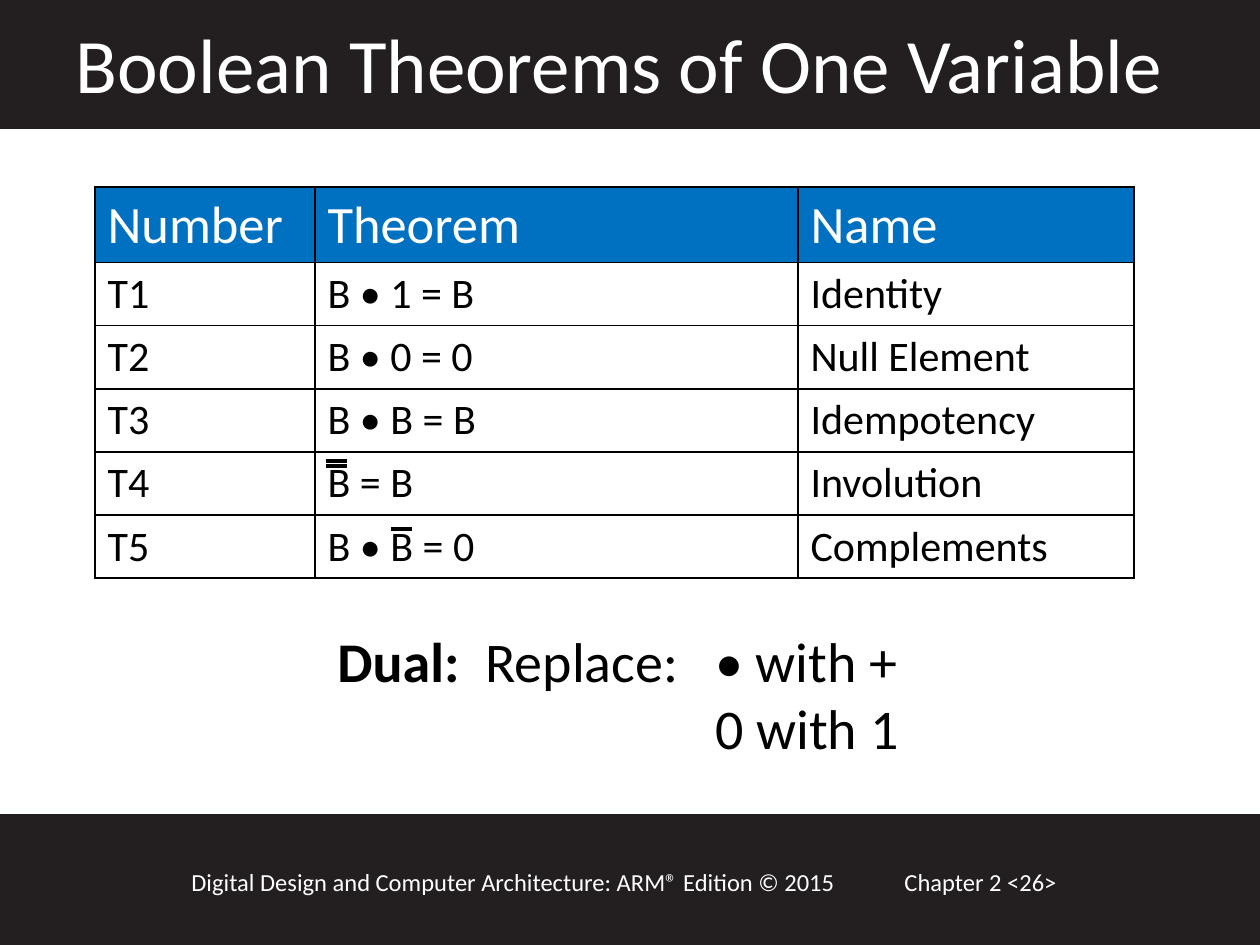
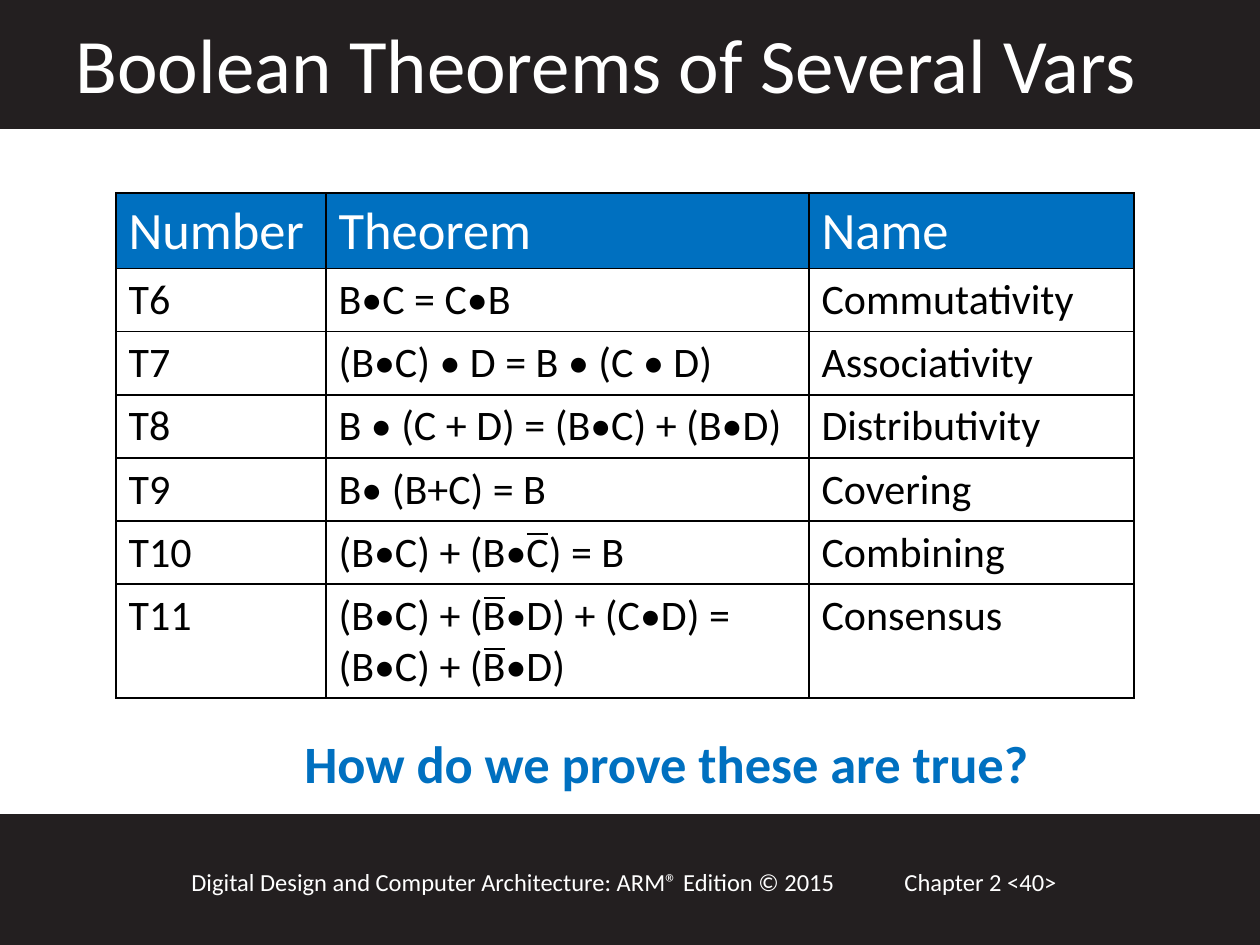
from lxml import etree
from pptx import Presentation
from pptx.dml.color import RGBColor
from pptx.enum import shapes, text
from pptx.oxml import ns, parse_xml
from pptx.util import Pt

SCALE = 914400 / 126  # EMU in one px
WIDE, HIGH = 1260, 945
FONT = "Calibri"
DARK, BLUE, WHITE, BLACK = "231F20", "0070C0", "FFFFFF", "000000"
HEAD, ROW = 75, 63  # table row heights
BAR = 21  # length of an overbar
BOOK = "Digital Design and Computer Architecture: ARM® Edition © 2015"


def px(n):
    return round(n * SCALE)


def box(*nums):
    return [px(n) for n in nums]


def rgb(code):
    return RGBColor.from_string(code)


def style(frame, size, color, bold=False):
    for para in frame.paragraphs:
        for run in para.runs:
            font = run.font
            font.name, font.size, font.bold = FONT, Pt(size), bold
            font.color.rgb = rgb(color)


def label(slide, area, words, size, color, bold=False):
    frame = slide.shapes.add_textbox(*box(*area)).text_frame
    frame.word_wrap = True
    frame.text = words
    style(frame, size, color, bold)
    return frame


def band(slide, top, high):
    rect = slide.shapes.add_shape(
        shapes.MSO_SHAPE.RECTANGLE, *box(0, top, WIDE, high))
    rect.shadow.inherit = False
    rect.fill.solid()
    rect.fill.fore_color.rgb = rgb(DARK)
    rect.line.color.rgb = rgb(DARK)
    rect.line.width = Pt(2)
    # Keep the bands behind the title
    slide.shapes.element.insert(2, rect.element)


def base(deck, name, page):
    """Bands, title and footer that every slide has."""
    slide = deck.slides.add_slide(deck.slide_layouts[5])
    band(slide, 0, 127)
    band(slide, 816, 129)

    title = slide.shapes.title
    title.left, title.top, title.width, title.height = box(63, 10, 1134, 106)
    frame = title.text_frame
    frame.text = name
    frame.word_wrap = True
    frame.auto_size = text.MSO_AUTO_SIZE.NONE
    frame.vertical_anchor = text.MSO_ANCHOR.TOP
    frame.paragraphs[0].alignment = text.PP_ALIGN.LEFT
    style(frame, 44, WHITE)

    label(slide, (179, 861, 725, 43), BOOK, 14, WHITE)
    label(slide, (892, 861, 273, 43), f"Chapter 2 <{page}>", 14, WHITE)
    return slide


def edge(cell):
    """Thin black border on all four sides."""
    props = cell._tc.get_or_add_tcPr()
    for i, side in enumerate("LRTB"):
        props.insert(i, parse_xml(
            f'<a:ln{side} {ns.nsdecls("a")} w="12700"><a:solidFill>'
            f'<a:srgbClr val="{BLACK}"/></a:solidFill></a:ln{side}>'))


def grid(slide, left, top, cols, rows):
    """Theorem table; a row is as high as its longest cell."""
    rows = [("Number", "Theorem", "Name")] + rows
    highs = [HEAD] + [ROW + 51 * row[1].count("\n") for row in rows[1:]]
    table = slide.shapes.add_table(
        len(rows), len(cols), *box(left, top, sum(cols), sum(highs))).table
    table.first_row = table.horz_banding = False
    for col, wide in zip(table.columns, cols):
        col.width = px(wide)
    for r, (row, high) in enumerate(zip(rows, highs)):
        table.rows[r].height = px(high)
        for c, words in enumerate(row):
            cell = table.cell(r, c)
            cell.text_frame.text = words
            style(cell.text_frame, 24 if r else 30, BLACK if r else WHITE)
            cell.fill.solid()
            cell.fill.fore_color.rgb = rgb(WHITE if r else BLUE)
            edge(cell)


def bars(slide, left, top, marks, weight):
    """Overbars: (row, dx, dy) from the corner of a theorem cell."""
    for row, dx, dy in marks:
        x, y = left + dx, top + HEAD + (row - 1) * ROW + dy
        line = slide.shapes.add_connector(
            shapes.MSO_CONNECTOR.STRAIGHT, *box(x, y, x + BAR, y))
        line.line.color.rgb = rgb(BLACK)
        line.line.width = Pt(weight)
        etree.SubElement(line.element.spPr, ns.qn("a:effectLst"))


def dual(slide, area, stops):
    """Dual rule, lined up on tab stops."""
    frame = label(slide, area, "Dual:", 32, BLACK)
    first = frame.paragraphs[0]
    first.add_run().text = "\tReplace:\t• with +"
    frame.add_paragraph().text = "\t\t0 with 1"
    tabs = "".join(f'<a:tab pos="{px(s)}" algn="l"/>' for s in stops)
    for para in frame.paragraphs:
        para._p.get_or_add_pPr().append(parse_xml(
            f'<a:tabLst {ns.nsdecls("a")}>{tabs}</a:tabLst>'))
    style(frame, 32, BLACK)
    first.runs[0].font.bold = True


def single(deck):
    slide = base(deck, "Boolean Theorems of One Variable", 26)
    left, top, cols = 95, 187, (220, 483, 336)
    grid(slide, left, top, cols, [
        ("T1", "B • 1 = B", "Identity"),
        ("T2", "B • 0 = 0", "Null Element"),
        ("T3", "B • B = B", "Idempotency"),
        ("T4", "B = B", "Involution"),
        ("T5", "B • B = 0", "Complements"),
    ])
    dual(slide, (325, 620, 605, 149), (148, 378))
    marks = [(5, 76, 15), (4, 11, 15), (4, 11, 10)]
    bars(slide, left + cols[0], top, marks, 2)


def several(deck):
    slide = base(deck, "Boolean Theorems of Several Vars", 40)
    left, top, cols = 116, 193, (210, 483, 325)
    grid(slide, left, top, cols, [
        ("T6", "B•C = C•B", "Commutativity"),
        ("T7", "(B•C) • D = B • (C • D)", "Associativity"),
        ("T8", "B • (C + D) = (B•C) + (B•D)", "Distributivity"),
        ("T9", "B• (B+C) = B", "Covering"),
        ("T10", "(B•C) + (B•C) = B", "Combining"),
        ("T11", "(B•C) + (B•D) + (C•D) =\n(B•C) + (B•D)", "Consensus"),
    ])
    label(slide, (292, 725, 750, 77), "How do we prove these are true?",
          30, BLUE, True)
    marks = [(5, 201, 14), (6, 158, 15), (6, 158, 66)]
    bars(slide, left + cols[0], top, marks, 0.75)


def main():
    deck = Presentation()
    deck.slide_width, deck.slide_height = box(WIDE, HIGH)
    single(deck)
    several(deck)
    deck.save("out.pptx")


if __name__ == "__main__":
    main()
